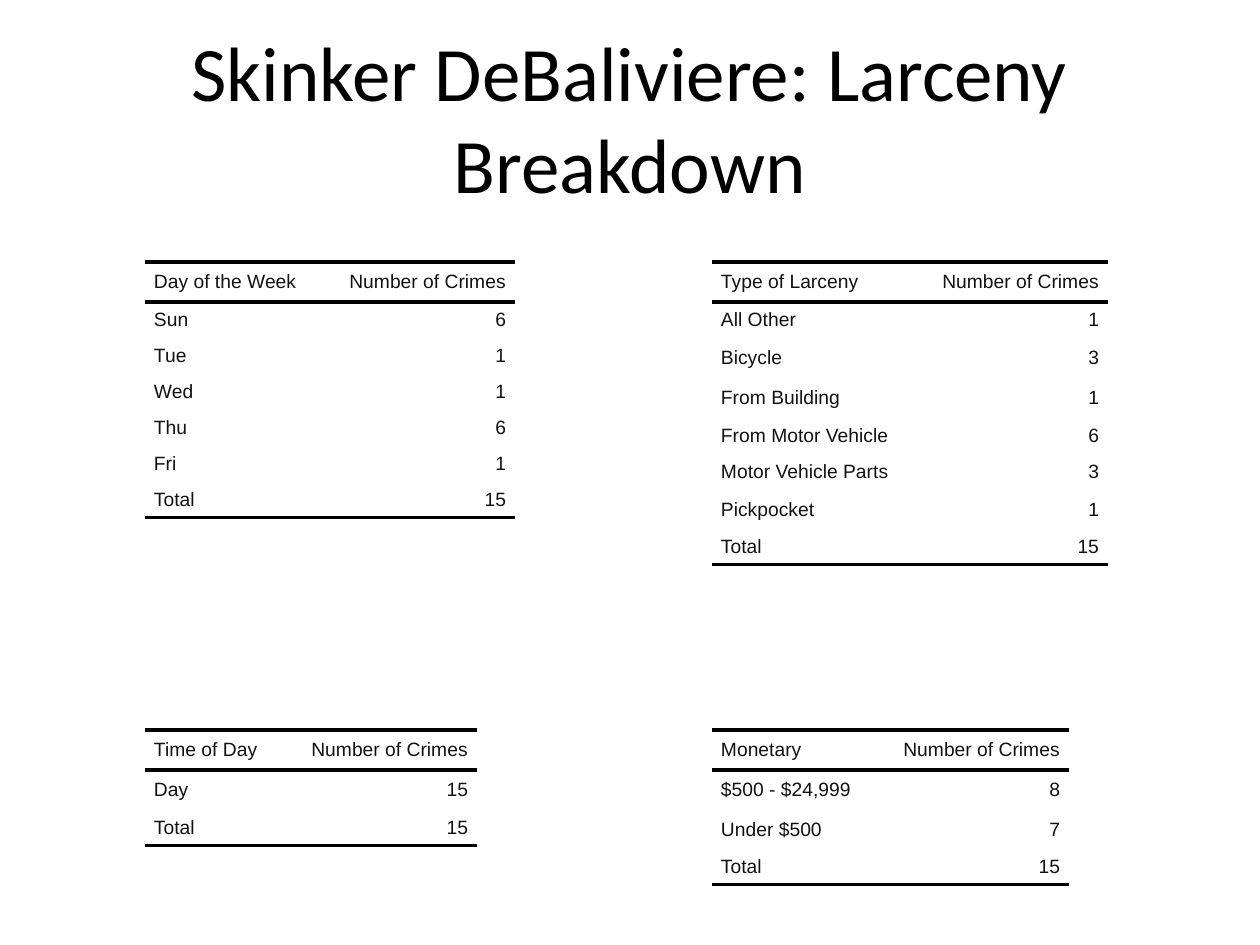
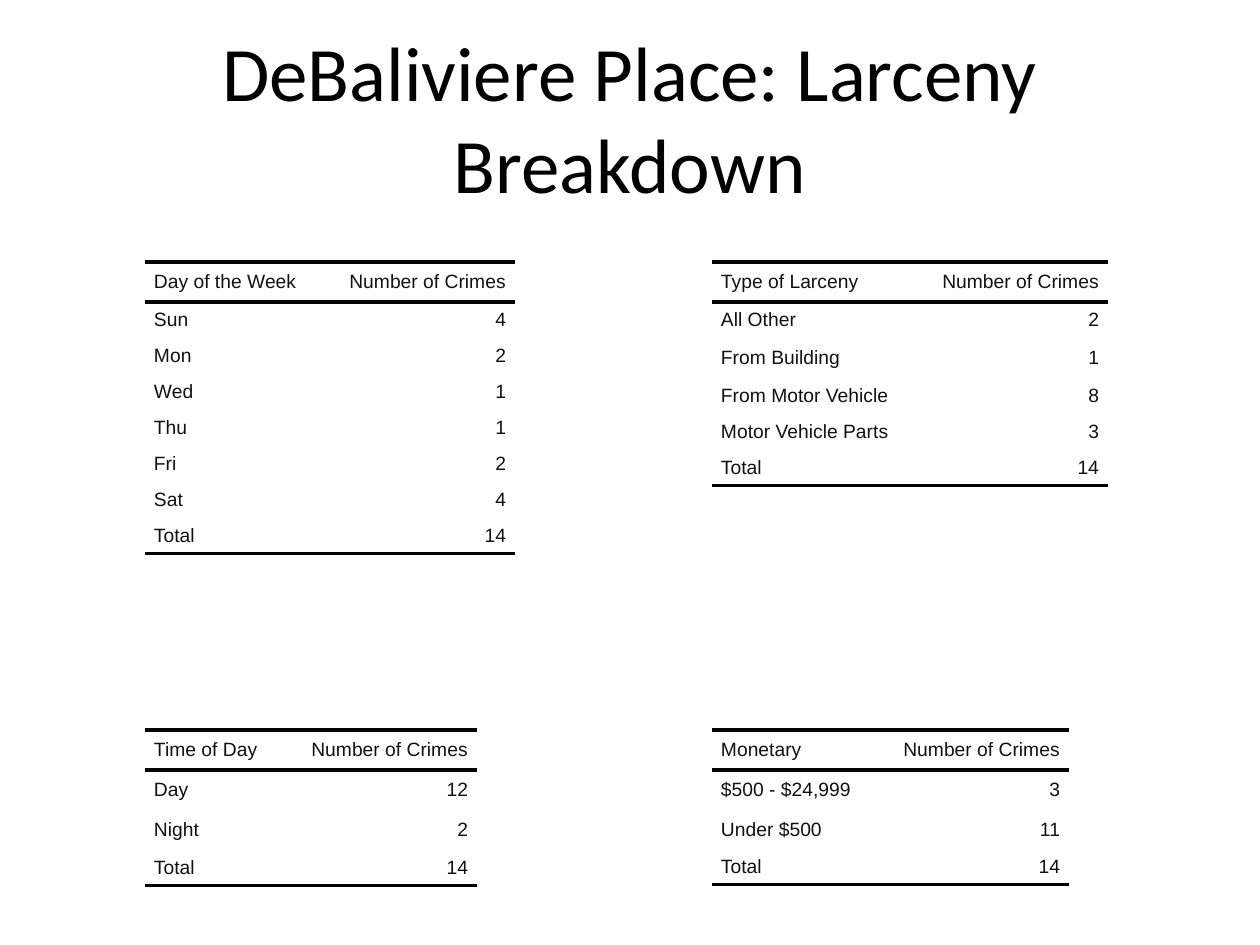
"""Build two slides of larceny tables, one for each neighbourhood."""
from dataclasses import dataclass
from typing import Any

from lxml import etree
from pptx import Presentation
from pptx import util as u
from pptx.dml.color import RGBColor
from pptx.enum import text
from pptx.oxml import ns

PX_PER_INCH = 126
COLORS = {"title": "000000", "rule": "000000", "cell": "111111"}
NO_GRID_STYLE = "{2D5ABB26-0587-4C30-8999-92F81FD0307C}"
TITLE_ONLY = 5

HEADER_HEIGHT, ROW_HEIGHT, TALL, MEDIUM = 40, 36, 40, 39
LEFT, RIGHT, UPPER, LOWER = 145, 712, 262, 730
FRAME_WIDTH, FRAME_HEIGHT = 504, 378
COUNT_WIDTH, CELL_INDENT = 192, 9
COUNT_HEADING = "Number of Crimes"

TITLE_FONT = {"name": "Calibri", "size": u.Pt(44), "bold": False}
CELL_FONT = {"name": "Arial", "size": u.Pt(11), "bold": False}
CELL_FORMAT = {
    "margin_left": 0, "margin_right": 0, "margin_top": 0, "margin_bottom": 0,
    "vertical_anchor": text.MSO_ANCHOR.MIDDLE,
}
PLAIN_TABLE = {"first_row": False, "horz_banding": False}


@dataclass(frozen=True)
class Group:
    label: str
    crimes: int
    height: int = ROW_HEIGHT


@dataclass(frozen=True)
class Breakdown:
    heading: str
    left: int
    top: int
    label_width: int
    groups: list[Group]


@dataclass(frozen=True)
class Neighbourhood:
    name: str
    days: list[Group]
    times: list[Group]
    larcenies: list[Group]
    values: list[Group]

    def breakdowns(self) -> list[Breakdown]:
        return [
            Breakdown("Day of the Week", LEFT, UPPER, 178, self.days),
            Breakdown("Time of Day", LEFT, LOWER, 140, self.times),
            Breakdown("Type of Larceny", RIGHT, UPPER, 204, self.larcenies),
            Breakdown("Monetary", RIGHT, LOWER, 165, self.values),
        ]


NEIGHBOURHOODS = [
    Neighbourhood(
        "Skinker DeBaliviere",
        days=[Group("Sun", 6), Group("Tue", 1), Group("Wed", 1),
              Group("Thu", 6), Group("Fri", 1)],
        times=[Group("Day", 15, TALL)],
        larcenies=[Group("All Other", 1), Group("Bicycle", 3, TALL),
                   Group("From Building", 1, TALL), Group("From Motor Vehicle", 6),
                   Group("Motor Vehicle Parts", 3), Group("Pickpocket", 1, MEDIUM)],
        values=[Group("$500 - $24,999", 8, TALL), Group("Under $500", 7, MEDIUM)],
    ),
    Neighbourhood(
        "DeBaliviere Place",
        days=[Group("Sun", 4), Group("Mon", 2), Group("Wed", 1),
              Group("Thu", 1), Group("Fri", 2), Group("Sat", 4)],
        times=[Group("Day", 12, TALL), Group("Night", 2, TALL)],
        larcenies=[Group("All Other", 2), Group("From Building", 1, TALL),
                   Group("From Motor Vehicle", 8), Group("Motor Vehicle Parts", 3)],
        values=[Group("$500 - $24,999", 3, TALL), Group("Under $500", 11, MEDIUM)],
    ),
]


def px(length: int) -> u.Emu:
    return u.Emu(round(length * u.Inches(1) / PX_PER_INCH))


def apply(target: Any, values: dict[str, Any]) -> None:
    for key, value in values.items():
        setattr(target, key, value)


def style_font(font: Any, values: dict[str, Any], color: str) -> None:
    apply(font, values)
    font.color.rgb = RGBColor.from_string(COLORS[color])


def add_rule(cell: Any, side: str) -> None:
    properties = cell._tc.get_or_add_tcPr()
    rule = etree.SubElement(properties, ns.qn(f"a:ln{side}"), w=str(u.Pt(2)))
    fill = etree.SubElement(rule, ns.qn("a:solidFill"))
    etree.SubElement(fill, ns.qn("a:srgbClr"), val=COLORS["rule"])


def fill_cell(cell: Any, words: str, align: Any, sides: str) -> None:
    apply(cell, CELL_FORMAT)
    for side in sides:
        add_rule(cell, side)
    cell.fill.background()
    paragraph = cell.text_frame.paragraphs[0]
    paragraph.text = words
    paragraph.alignment = align
    for margin in ("marL", "marR"):
        paragraph._p.get_or_add_pPr().set(margin, str(px(CELL_INDENT)))
    style_font(paragraph.runs[0].font, CELL_FONT, "cell")


def add_breakdown(slide: Any, breakdown: Breakdown) -> None:
    total = sum(group.crimes for group in breakdown.groups)
    groups = [*breakdown.groups, Group("Total", total)]
    lines = [(breakdown.heading, COUNT_HEADING, HEADER_HEIGHT, "TB")]
    lines += [(group.label, str(group.crimes), group.height,
               "B" if group is groups[-1] else "") for group in groups]

    frame = slide.shapes.add_table(
        len(lines), 2, px(breakdown.left), px(breakdown.top),
        px(FRAME_WIDTH), px(FRAME_HEIGHT))
    table = frame.table
    apply(table, PLAIN_TABLE)
    table._tbl.tblPr.find(ns.qn("a:tableStyleId")).text = NO_GRID_STYLE
    for column, width in zip(table.columns, (breakdown.label_width, COUNT_WIDTH)):
        column.width = px(width)
    for index, (label, count, height, sides) in enumerate(lines):
        table.rows[index].height = px(height)
        fill_cell(table.cell(index, 0), label, text.PP_ALIGN.LEFT, sides)
        fill_cell(table.cell(index, 1), count, text.PP_ALIGN.RIGHT, sides)
    apply(frame, {"width": px(FRAME_WIDTH), "height": px(FRAME_HEIGHT)})


def add_title(slide: Any, words: str) -> None:
    title = slide.shapes.title
    apply(title, {"left": px(63), "top": px(38), "width": px(1134), "height": px(158)})
    apply(title.text_frame, {
        "text": words, "word_wrap": True, "auto_size": text.MSO_AUTO_SIZE.NONE,
        "vertical_anchor": text.MSO_ANCHOR.MIDDLE})
    paragraph = title.text_frame.paragraphs[0]
    paragraph.alignment = text.PP_ALIGN.CENTER
    style_font(paragraph.runs[0].font, TITLE_FONT, "title")


def main() -> None:
    deck = Presentation()
    apply(deck, {"slide_width": px(1260), "slide_height": px(945)})
    for neighbourhood in NEIGHBOURHOODS:
        slide = deck.slides.add_slide(deck.slide_layouts[TITLE_ONLY])
        add_title(slide, f"{neighbourhood.name}: Larceny Breakdown")
        for breakdown in neighbourhood.breakdowns():
            add_breakdown(slide, breakdown)
    deck.save("out.pptx")


if __name__ == "__main__":
    main()
